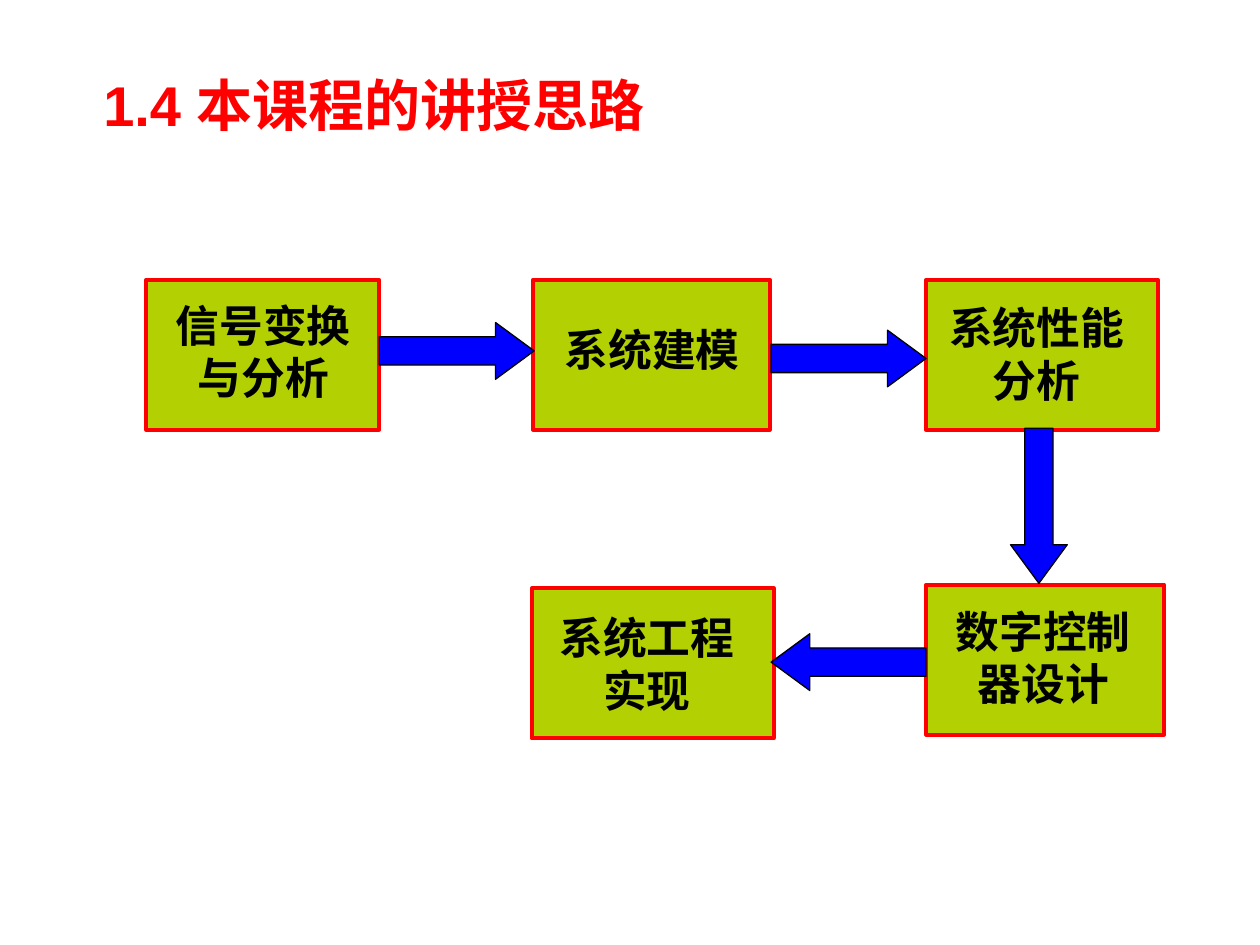
from dataclasses import dataclass

from pptx import Presentation
from pptx.dml.color import RGBColor
from pptx.enum.shapes import MSO_SHAPE
from pptx.enum.text import MSO_ANCHOR, MSO_AUTO_SIZE, PP_ALIGN
from pptx.util import Inches, Pt


@dataclass(frozen=True)
class Theme:
    font: str = "Arial"
    title_size: float = 32
    label_size: float = 25
    border_width: float = 2.25
    arrow_line_width: float = 0.75
    red: RGBColor = RGBColor(0xFF, 0x00, 0x00)
    green: RGBColor = RGBColor(0xB3, 0xD0, 0x02)
    blue: RGBColor = RGBColor(0x00, 0x00, 0xFF)
    black: RGBColor = RGBColor(0x00, 0x00, 0x00)


THEME = Theme()
STEP_HEIGHT = 1.19
ARROW_LENGTH, ARROW_THICKNESS = 1.23, 0.45
TOP_ROW = 2.22

# step box (left, top, width), label offset (x, y) and width, label lines
STEPS = [
    ((1.16, TOP_ROW, 1.85), (0.05, 0.10, 1.76), ["信号变换与分析"]),
    ((4.23, TOP_ROW, 1.88), (-0.23, 0.29, 2.35), ["系统建模"]),
    ((7.35, TOP_ROW, 1.84), (-0.15, 0.12, 2.05), ["系统性能", "分析"]),
    ((7.35, 4.64, 1.89), (0, 0.11, 1.86), ["数字控制", "器设计"]),
    ((4.22, 4.67, 1.92), (-0.02, 0.13, 1.87), ["系统工程", "实现"]),
]
# left, top, rotation
ARROWS = [(3.01, 2.56, 0), (7.63, 3.79, 90), (6.12, 2.62, 0), (6.12, 5.03, 180)]


def set_font(paragraph, size, color):
    font = paragraph.font
    font.name, font.size, font.bold = THEME.font, Pt(size), True
    font.color.rgb = color


def paint(shape, fill, line, line_width):
    shape.shadow.inherit = False
    shape.fill.solid()
    shape.fill.fore_color.rgb = fill
    shape.line.color.rgb = line
    shape.line.width = Pt(line_width)


def add_title(slide, left, top, width, height, text):
    title = slide.shapes.title
    title.left, title.top = Inches(left), Inches(top)
    title.width, title.height = Inches(width), Inches(height)
    frame = title.text_frame
    frame.text = text
    frame.auto_size = MSO_AUTO_SIZE.NONE
    frame.vertical_anchor = MSO_ANCHOR.TOP
    heading = frame.paragraphs[0]
    heading.alignment = PP_ALIGN.LEFT
    set_font(heading, THEME.title_size, THEME.red)


def add_step(slide, box, label_box, lines):
    """Group a bordered step with its label, placed relative to the step."""
    left, top, width = box
    offset_x, offset_y, label_width = label_box
    step = slide.shapes.add_group_shape().shapes
    panel = step.add_shape(MSO_SHAPE.RECTANGLE, Inches(left), Inches(top),
                           Inches(width), Inches(STEP_HEIGHT))
    paint(panel, THEME.green, THEME.red, THEME.border_width)

    label_height = 0.52 if lines == ["系统建模"] else 0.94
    label = step.add_textbox(Inches(left + offset_x), Inches(top + offset_y),
                             Inches(label_width), Inches(label_height))
    frame = label.text_frame
    frame.word_wrap = True
    frame.auto_size = MSO_AUTO_SIZE.SHAPE_TO_FIT_TEXT
    frame.text = "\n".join(lines)
    for line in frame.paragraphs:
        line.alignment = PP_ALIGN.CENTER
        set_font(line, THEME.label_size, THEME.black)


def add_arrow(slide, left, top, rotation):
    arrow = slide.shapes.add_shape(MSO_SHAPE.RIGHT_ARROW, Inches(left), Inches(top),
                                   Inches(ARROW_LENGTH), Inches(ARROW_THICKNESS))
    arrow.adjustments[1] = 0.68
    arrow.rotation = rotation
    paint(arrow, THEME.blue, THEME.black, THEME.arrow_line_width)


def main():
    deck = Presentation()
    deck.slide_width, deck.slide_height = Inches(10), Inches(7.5)
    slide = deck.slides.add_slide(deck.slide_layouts.get_by_name("Title Only"))
    add_title(slide, 0.72, 0.51, 5.59, 0.64, "1.4 本课程的讲授思路")
    for step in STEPS:
        add_step(slide, *step)
    for arrow in ARROWS:
        add_arrow(slide, *arrow)
    deck.save("out.pptx")


if __name__ == "__main__":
    main()
